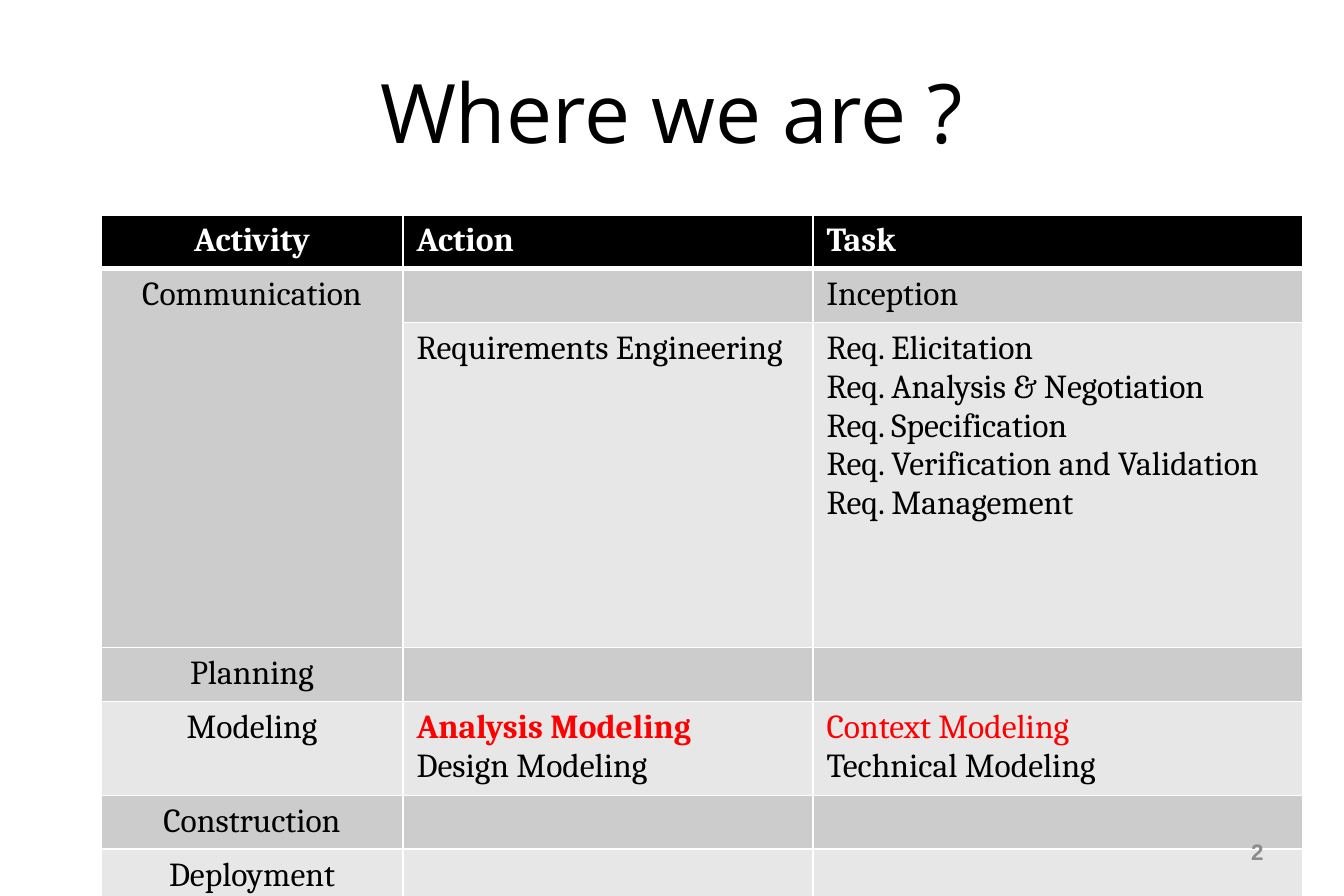
import pptx
import pptx.dml.color
import pptx.enum.text
import pptx.oxml.ns
import pptx.util
from dataclasses import dataclass
from lxml import etree

Inches = pptx.util.Inches
Pt = pptx.util.Pt
ALIGN = pptx.enum.text.PP_ALIGN
ANCHOR = pptx.enum.text.MSO_ANCHOR


@dataclass(frozen=True)
class Theme:
    ink: str = "000000"
    paper: str = "FFFFFF"
    highlight: str = "FF0000"
    muted: str = "8B8B8B"
    bands: tuple = ("CCCCCC", "E7E7E7")
    title_font: str = "Open Sans"
    table_font: str = "Cambria"
    number_font: str = "Arial"
    title_size: int = 44
    table_size: int = 18
    number_size: int = 12
    rule: float = 0.96
    header_rule: float = 3


THEME = Theme()

COLUMN_WIDTHS = (2.25, 3.05, 3.64)
ROW_HEIGHTS = (0.39, 0.39, 2.42, 0.39, 0.68, 0.39, 0.39)
PROCESS = (
    (("Activity",), ("Action",), ("Task",)),
    (("Communication",), (), ("Inception",)),
    ((), ("Requirements Engineering",),
     ("Req. Elicitation", "Req. Analysis & Negotiation", "Req. Specification",
      "Req. Verification and Validation", "Req. Management")),
    (("Planning",), (), ()),
    (("Modeling",), ("Analysis Modeling", "Design Modeling"),
     ("Context Modeling", "Technical Modeling")),
    (("Construction",), (), ()),
    (("Deployment",), (), ()),
)
CURRENT_STEPS = {"Analysis Modeling": True, "Context Modeling": False}


def rgb(value):
    return pptx.dml.color.RGBColor.from_string(value)


def add_run(paragraph, text, font, size, color, bold=False):
    run = paragraph.add_run()
    run.text = text
    run.font.name = font
    run.font.size = Pt(size)
    run.font.color.rgb = rgb(color)
    run.font.bold = bold


def add_line(slide, box, text, align, font, size, color, bold=False):
    frame = slide.shapes.add_textbox(*box).text_frame
    frame.word_wrap = True
    frame.vertical_anchor = ANCHOR.MIDDLE
    paragraph = frame.paragraphs[0]
    paragraph.alignment = align
    add_run(paragraph, text, font, size, color, bold)
    return paragraph


def add_title(slide, box):
    add_line(slide, box, "Where we are ?", ALIGN.CENTER,
             THEME.title_font, THEME.title_size, THEME.ink)


def add_page_number(slide, box):
    number = add_line(slide, box, "2", ALIGN.RIGHT, THEME.number_font,
                      THEME.number_size, THEME.muted, True)
    number.line_spacing = 0.9


def set_borders(cell, top, bottom):
    properties = cell._tc.get_or_add_tcPr()
    widths = {"L": THEME.rule, "R": THEME.rule, "T": top, "B": bottom}
    for position, (side, width) in enumerate(widths.items()):
        line = etree.Element(pptx.oxml.ns.qn(f"a:ln{side}"), w=str(Pt(width)))
        fill = etree.SubElement(line, pptx.oxml.ns.qn("a:solidFill"))
        etree.SubElement(fill, pptx.oxml.ns.qn("a:srgbClr"), val=THEME.paper)
        properties.insert(position, line)


def fill_cell(cell, lines, row, column):
    header = row == 0
    cell.fill.solid()
    cell.fill.fore_color.rgb = rgb(THEME.ink if header else THEME.bands[(row - 1) % 2])
    set_borders(cell,
                THEME.header_rule if row == 1 else THEME.rule,
                THEME.header_rule if header else THEME.rule)
    frame = cell.text_frame
    frame.paragraphs[0].font.size = Pt(THEME.table_size)
    for index, text in enumerate(lines):
        paragraph = frame.add_paragraph() if index else frame.paragraphs[0]
        paragraph.alignment = ALIGN.LEFT if column else ALIGN.CENTER
        color = THEME.paper if header else THEME.ink
        if text in CURRENT_STEPS:
            color = THEME.highlight
        add_run(paragraph, text, THEME.table_font, THEME.table_size, color,
                header or CURRENT_STEPS.get(text, False))


def add_process_table(slide, box):
    table = slide.shapes.add_table(len(ROW_HEIGHTS), len(COLUMN_WIDTHS), *box).table
    for column, width in zip(table.columns, COLUMN_WIDTHS):
        column.width = Inches(width)
    for row, height in zip(table.rows, ROW_HEIGHTS):
        row.height = Inches(height)
    for row, entries in enumerate(PROCESS):
        for column, lines in enumerate(entries):
            fill_cell(table.cell(row, column), lines, row, column)
    table.cell(1, 0).merge(table.cell(2, 0))


def main():
    deck = pptx.Presentation()
    deck.slide_width = Inches(10)
    deck.slide_height = Inches(6.67)
    slide = deck.slides.add_slide(deck.slide_layouts[6])
    add_title(slide, (Inches(0.5), Inches(0.27), Inches(9), Inches(1.11)))
    add_process_table(slide, (Inches(0.75), Inches(1.6),
                              Inches(sum(COLUMN_WIDTHS)), Inches(sum(ROW_HEIGHTS))))
    add_page_number(slide, (Inches(7.17), Inches(6.18), Inches(2.33), Inches(0.35)))
    deck.save("out.pptx")


if __name__ == "__main__":
    main()
